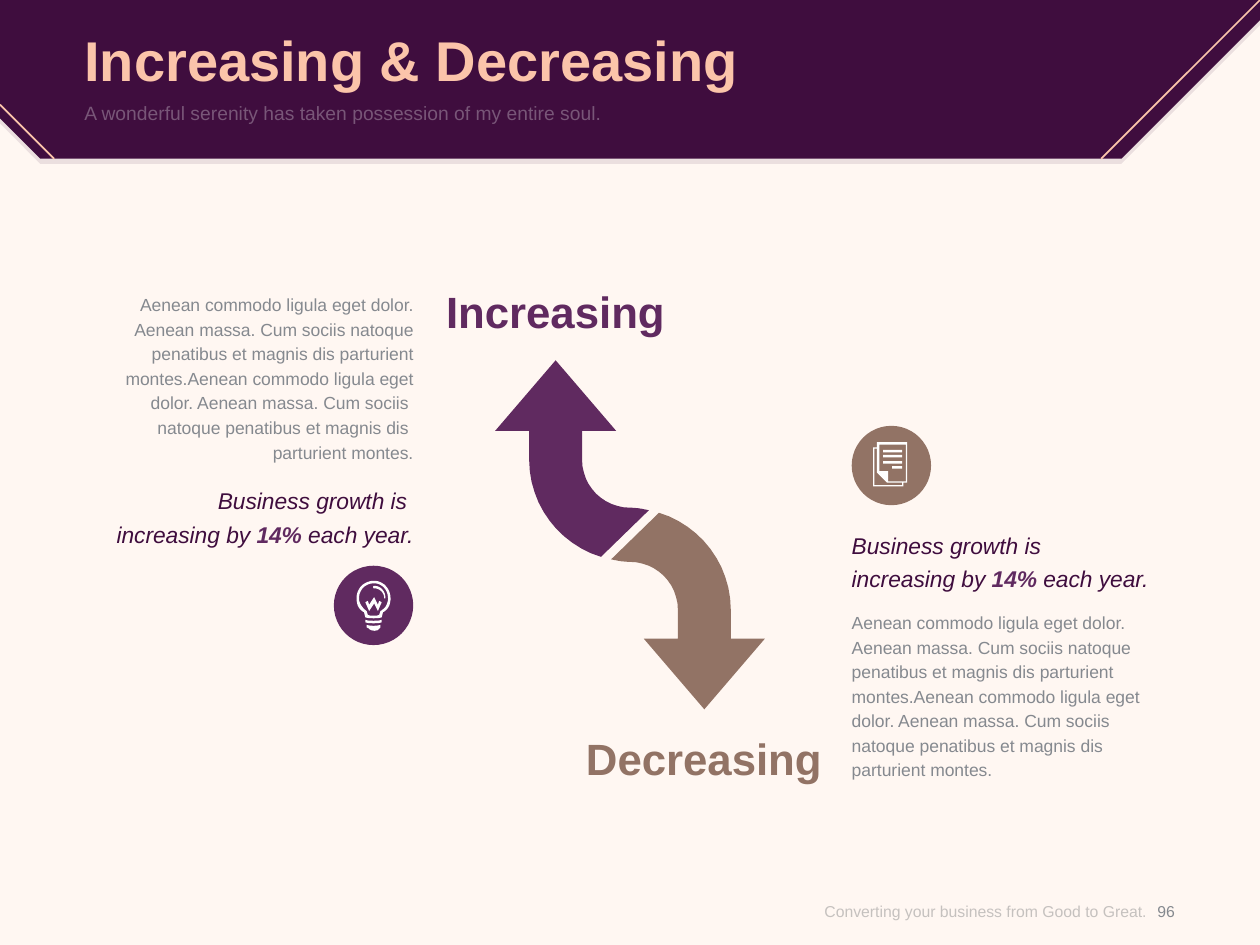
from lxml.etree import SubElement
from pptx import Presentation
from pptx.dml.color import RGBColor
from pptx.enum.shapes import MSO_CONNECTOR, MSO_SHAPE
from pptx.enum.text import MSO_ANCHOR, MSO_AUTO_SIZE, PP_ALIGN
from pptx.oxml.ns import qn
from pptx.util import Inches, Pt

W, H = 10, 7.5
MARGIN, COL_W, RIGHT_X, ICON = 0.67, 2.61, 6.76, 0.63
COLORS = {"bg": "FFF7F2", "dark": "3F0D3E", "peach": "FBC4AA", "plum": "602A60",
          "brown": "927365", "gray": "85898F", "footer": "8C8C8C", "white": "FFFFFF"}
LEFT, RIGHT, CENTER = PP_ALIGN.LEFT, PP_ALIGN.RIGHT, PP_ALIGN.CENTER

# Content
TITLE = "Increasing & Decreasing"
SUBTITLE = "A wonderful serenity has taken possession of my entire soul."
FOOTER, PAGE = "Converting your business from Good to Great.", "96"
DETAIL = ("Aenean commodo ligula eget dolor. Aenean massa. Cum sociis natoque "
          "penatibus et magnis dis parturient montes.Aenean commodo ligula eget "
          "dolor. Aenean massa. Cum sociis \nnatoque penatibus et magnis dis \n"
          "parturient montes.")
QUOTE_END = ["increasing by ", "14%", " each year."]
LABELS = [("Increasing", 3.54, 2.26, "plum", LEFT),
          ("Decreasing", 3.91, 5.81, "brown", RIGHT)]
# x, detail top, quote top, first quote line, alignment
COLUMNS = [(MARGIN, 2.31, 3.82, "Business growth is ", RIGHT),
           (RIGHT_X, 4.83, 4.17, "Business growth is", LEFT)]


# Outlines: a pair is a line's end, six numbers are a cubic curve
def rect(x1, y1, x2, y2):
    return [(x1, y1), (x2, y1), (x2, y2), (x1, y2)]


def circle(cx, cy, r):
    k = 0.55 * r
    return [(cx, cy - r), (cx + k, cy - r, cx + r, cy - k, cx + r, cy),
            (cx + r, cy + k, cx + k, cy + r, cx, cy + r),
            (cx - k, cy + r, cx - r, cy + k, cx - r, cy),
            (cx - r, cy - k, cx - k, cy - r, cx, cy - r)]


HEADER = [(8.9, 1.26), (0.32, 1.26), (0, 0.94), (0, 0), (W, 0), (W, 0.16)]
UP_ARROW = [(5.15, 4.05), (4.77, 4.42), (4.44, 4.32, 4.2, 4.01, 4.2, 3.65),
            (4.2, 3.42), (3.93, 3.42), (4.41, 2.86), (4.89, 3.42), (4.62, 3.42),
            (4.62, 3.65), (4.62, 3.86, 4.79, 4.03, 5, 4.03),
            (5.05, 4.03, 5.1, 4.04, 5.15, 4.05)]
# The down arrow is the up arrow turned half round
DOWN_ARROW = [tuple((8.49 if i % 2 else W) - v for i, v in enumerate(pt))
              for pt in UP_ARROW]
BULB = [
    [(2.91, 4.96), (2.91, 4.98), (2.93, 4.99), (2.94, 5.01, 2.99, 5.01, 3, 5),
     (3.02, 4.98), (3.02, 4.96), (2.99, 4.97, 2.94, 4.97, 2.91, 4.96)],
    [(2.9, 4.92), (2.9, 4.94), (2.92, 4.95, 3.01, 4.95, 3.03, 4.94),
     (3.03, 4.92), (3.01, 4.93, 2.92, 4.93, 2.9, 4.92)],
    [(2.97, 4.61), (2.89, 4.61, 2.83, 4.67, 2.83, 4.75),
     (2.83, 4.8, 2.85, 4.84, 2.89, 4.86), (2.9, 4.9),
     (2.92, 4.91, 3.01, 4.91, 3.03, 4.9), (3.04, 4.86),
     (3.08, 4.84, 3.1, 4.8, 3.1, 4.75), (3.1, 4.67, 3.04, 4.61, 2.97, 4.61)],
    [(3.02, 4.85), (3.01, 4.88), (3, 4.89, 2.93, 4.89, 2.92, 4.88), (2.91, 4.85),
     (2.88, 4.83, 2.85, 4.79, 2.85, 4.75), (2.85, 4.68, 2.9, 4.63, 2.97, 4.63),
     (3.03, 4.63, 3.08, 4.68, 3.08, 4.75), (3.08, 4.79, 3.06, 4.83, 3.02, 4.85)],
    [(3, 4.8), (2.97, 4.74), (2.93, 4.8), (2.92, 4.77), (2.9, 4.78), (2.93, 4.85),
     (2.97, 4.79), (3, 4.85), (3.03, 4.78), (3.01, 4.77)],
    [(2.97, 4.65), (2.96, 4.65, 2.96, 4.67, 2.97, 4.67),
     (3.01, 4.67, 3.05, 4.7, 3.05, 4.75), (3.06, 4.75),
     (3.06, 4.69, 3.02, 4.65, 2.97, 4.65)],
]
PAGES = [
    [(6.96, 3.51), (6.96, 3.55), (6.93, 3.55), (6.93, 3.86), (7.17, 3.86),
     (7.17, 3.83), (7.2, 3.83), (7.2, 3.51)],
    [(7.16, 3.85), (6.94, 3.85), (6.94, 3.56), (6.96, 3.56), (6.96, 3.75),
     (7.04, 3.83), (7.16, 3.83)],
    [(7.19, 3.82), (7.05, 3.82), (7.05, 3.74), (6.98, 3.74), (6.98, 3.53),
     (7.19, 3.53)],
    rect(7.08, 3.7, 7.16, 3.72),
] + [rect(7.01, y, 7.16, y + 0.02) for y in (3.57, 3.61, 3.66)]
BADGES = [(2.965, 4.805, "plum", BULB), (7.075, 3.695, "brown", PAGES)]

prs = Presentation()
prs.slide_width, prs.slide_height = Inches(W), Inches(H)
s = prs.slides.add_slide(prs.slide_layouts[1])
s.background.fill.solid()


def paint(color_format, name, alpha=None):
    color_format.rgb = RGBColor.from_string(COLORS[name])
    if alpha is not None:
        clr = color_format._xFill.find(qn("a:srgbClr"))
        SubElement(clr, qn("a:alpha")).set("val", str(alpha * 1000))


def flatten(outline, steps=12):
    pts = [outline[0]]
    for seg in outline[1:]:
        if len(seg) == 2:
            pts.append(seg)
            continue
        p0, p1, p2, p3 = pts[-1], seg[:2], seg[2:4], seg[4:]
        for t in (i / steps for i in range(1, steps + 1)):
            u = 1 - t
            pts.append(tuple(u**3 * a + 3 * u * u * t * b + 3 * u * t * t * c + t**3 * d
                             for a, b, c, d in zip(p0, p1, p2, p3)))
    return [(x * 1000, y * 1000) for x, y in pts]


def fill_shape(sp, color, alpha=None):
    sp.shadow.inherit = False
    sp.fill.solid()
    paint(sp.fill.fore_color, color, alpha)
    sp.line.fill.background()


def draw(outlines, color, alpha=None):
    paths = [flatten(o) for o in outlines]
    builder = s.shapes.build_freeform(*paths[0][0], scale=914.4)
    for i, pts in enumerate(paths):
        if i:
            builder.move_to(*pts[0])
        builder.add_line_segments(pts[1:], close=True)
    fill_shape(builder.convert_to_shape(), color, alpha)


def fill_text(sp, box, lines, size, color, align=LEFT, anchor=MSO_ANCHOR.TOP,
              alpha=None, spacing=None, bold=False, italic=False):
    """Each line is a text, or a list of texts that become runs."""
    sp.left, sp.top, sp.width, sp.height = map(Inches, box)
    tf = sp.text_frame
    tf.word_wrap, tf.auto_size, tf.vertical_anchor = True, MSO_AUTO_SIZE.NONE, anchor
    tf.margin_left = tf.margin_top = tf.margin_right = tf.margin_bottom = 0
    for i, line in enumerate(lines):
        p = tf.add_paragraph() if i else tf.paragraphs[0]
        if isinstance(line, str):
            p.text = line
        else:
            for text in line:
                p.add_run().text = text
        p.alignment, p.space_before = align, Pt(0)
        if spacing:
            p.line_spacing = Pt(spacing)
        for r in p.runs:
            r.font.name, r.font.size = "Arial", Pt(size)
            r.font.bold, r.font.italic = bold, italic
            r.font.fill.solid()
            paint(r.font.fill.fore_color, color, alpha)
    return tf


def add_text(*args, **kwargs):
    return fill_text(s.shapes.add_textbox(0, 0, 0, 0), *args, **kwargs)


# Header band with its soft edge and corner lines
paint(s.background.fill.fore_color, "bg")
draw([[(x, y + 0.04) for x, y in HEADER]], "dark", 10)
draw([HEADER], "dark")
for ends in [(W, 0, 8.74, 1.26), (0, 0.83, 0.43, 1.26)]:
    line = s.shapes.add_connector(MSO_CONNECTOR.STRAIGHT, *map(Inches, ends))
    paint(line.line.color, "peach")
    line.line.width = Pt(1)
    SubElement(line._element.spPr, qn("a:effectLst"))

# Title and subtitle, brought in front of the band
title, body = s.shapes.title, s.placeholders[1]
for ph in (title, body):
    s.shapes._spTree.append(ph._element)
pPr = body.text_frame.paragraphs[0]._p.get_or_add_pPr()
pPr.set("marL", "0")
pPr.set("indent", "0")
SubElement(pPr, qn("a:buNone"))
fill_text(title, (MARGIN, 0.14, W - 2 * MARGIN, 0.65), [TITLE], 32, "peach",
          anchor=MSO_ANCHOR.MIDDLE, bold=True)
fill_text(body, (MARGIN, 0.8, W - 2 * MARGIN, 0.39), [SUBTITLE], 11, "white", alpha=30)

# Footer
add_text((6.04, 6.96, 3.06, 0.54), [FOOTER], 9, "footer", RIGHT, MSO_ANCHOR.MIDDLE, 50)
add_text((9.02, 6.96, 0.47, 0.54), [PAGE], 9, "gray", CENTER, MSO_ANCHOR.MIDDLE)

# Round badges and arrows
for cx, cy, color, icon in BADGES:
    corner = Inches(cx - ICON / 2), Inches(cy - ICON / 2)
    disc = s.shapes.add_shape(MSO_SHAPE.OVAL, *corner, Inches(ICON), Inches(ICON))
    fill_shape(disc, color)
    draw(icon, "white")
draw([UP_ARROW], "plum")
draw([DOWN_ARROW], "brown")

# Labels and text columns
for text, x, y, color, align in LABELS:
    add_text((x, y, COL_W, 0.42), [text], 25, color, align, bold=True)
for x, detail_y, quote_y, start, align in COLUMNS:
    add_text((x, detail_y, COL_W, 1.37), [DETAIL], 10, "gray", align, spacing=14)
    tf = add_text((x, quote_y, COL_W, 0.53), [start, QUOTE_END], 13, "dark", align,
                  spacing=19, italic=True)
    percent = tf.paragraphs[1].runs[1].font
    percent.bold = True
    paint(percent.fill.fore_color, "plum")

prs.save("out.pptx")
